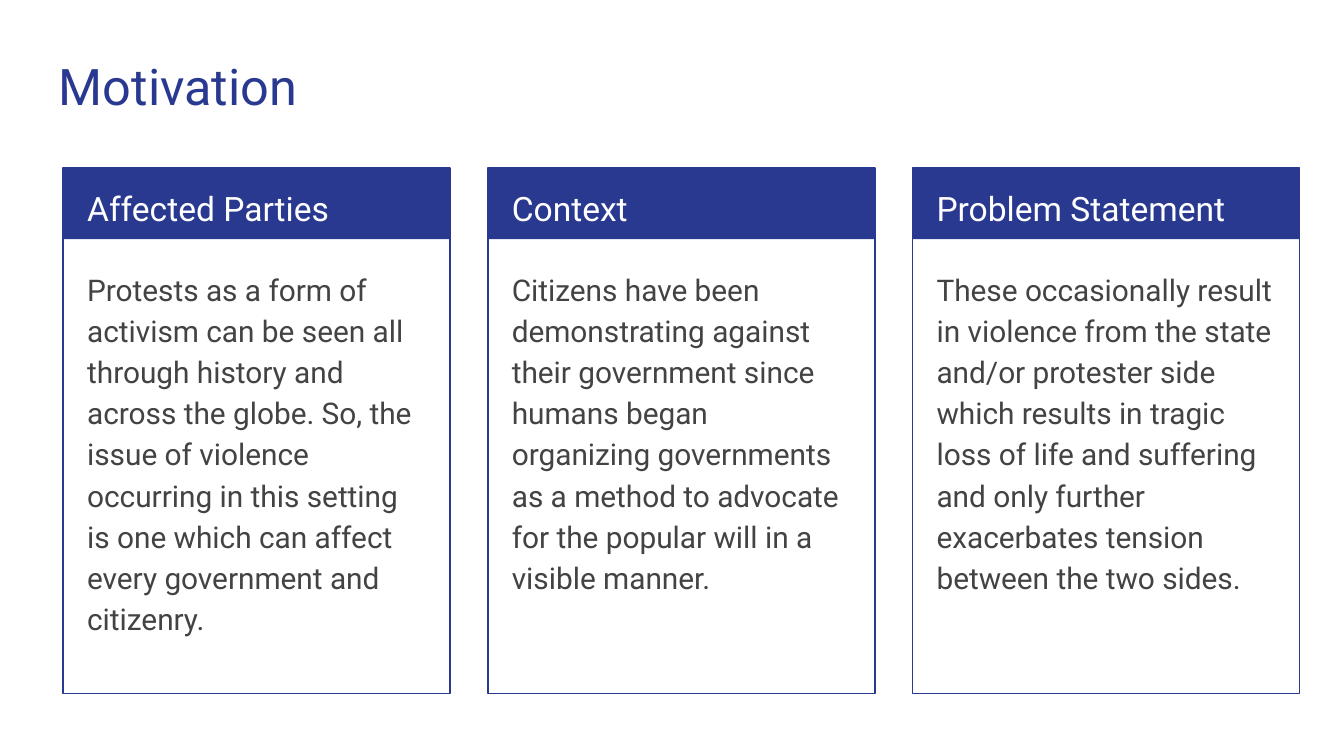
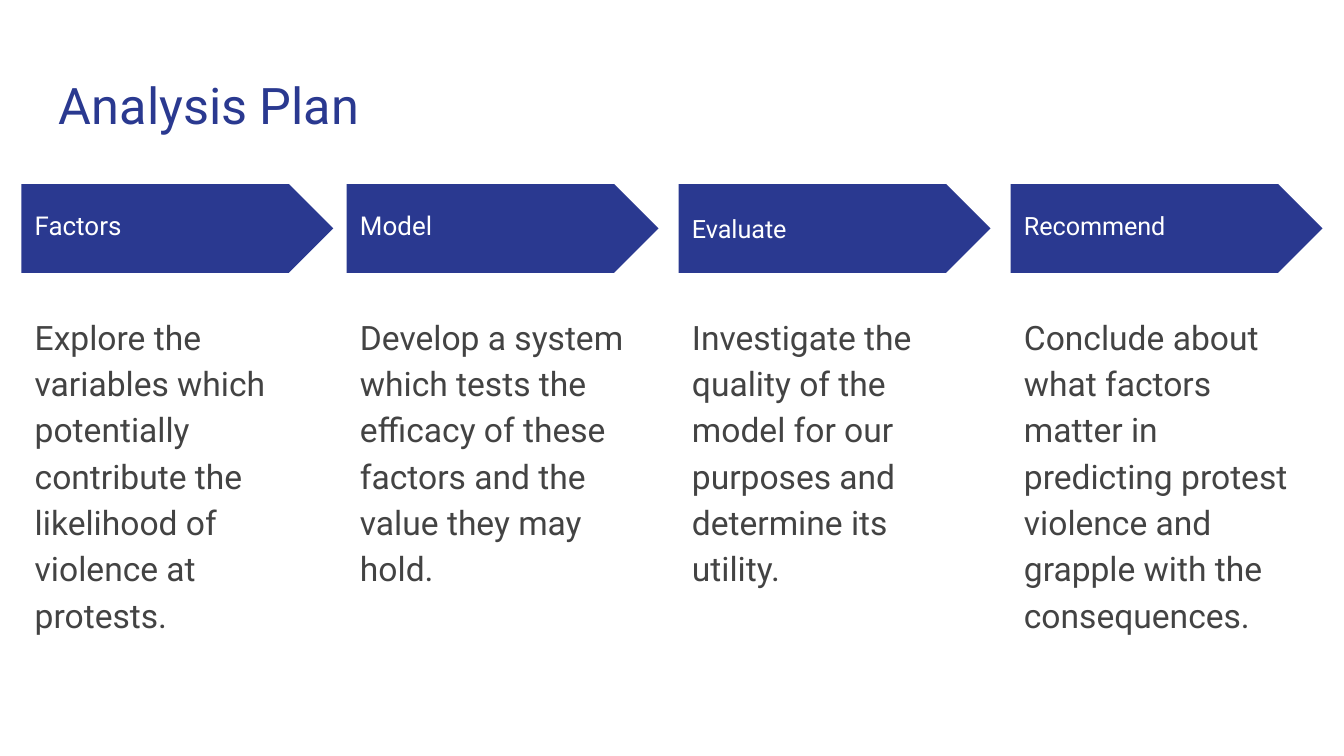
from pptx import Presentation
from pptx import util as u
from pptx.dml.color import RGBColor
from pptx.enum import shapes, text

BLUE = RGBColor(0x2A, 0x39, 0x90)
GREY = RGBColor(0x43, 0x43, 0x43)
WHITE = RGBColor(0xFF, 0xFF, 0xFF)
PX = 9144
FONT = "Roboto"
INSET = 10

CARDS = [
    ("Affected Parties",
     "Protests as a form of activism can be seen all through history and across the globe. "
     "So, the issue of violence occurring in this setting is one which can affect every "
     "government and citizenry."),
    ("Context",
     "Citizens have been demonstrating against their government since humans began organizing "
     "governments as a method to advocate for the popular will in a visible manner."),
    ("Problem Statement",
     "These occasionally result in violence from the state and/or protester side which results "
     "in tragic loss of life and suffering and only further exacerbates tension between the "
     "two sides."),
]

STEPS = [
    (16, "Factors", 13.9, 0.8,
     "Explore the variables which potentially contribute the likelihood of violence at protests."),
    (258, "Model", 13.9, 0.8,
     "Develop a system which tests the efficacy of these factors and the value they may hold."),
    (505, "Evaluate", 13.5, 1.0,
     "Investigate the quality of the model for our purposes and determine its utility."),
    (752, "Recommend", 13.5, 0.8,
     "Conclude about what factors matter in predicting protest violence and grapple with the "
     "consequences."),
]


class Deck:
    """Holds the shared style and the slide being built."""

    def __init__(self):
        self.prs = Presentation()
        self.prs.slide_width = u.Inches(10)
        self.prs.slide_height = u.Inches(5.625)
        self.s = None

    def slide(self, title, top):
        self.s = self.prs.slides.add_slide(self.prs.slide_layouts[6])
        self.text(34, top, 932, 66, title, 27, BLUE)

    def shape(self, kind, x, y, w, h, fill=None, line=None):
        sp = self.s.shapes.add_shape(kind, x * PX, y * PX, w * PX, h * PX)
        sp.shadow.inherit = False
        if fill is None:
            sp.fill.background()
        else:
            sp.fill.solid()
            sp.fill.fore_color.rgb = fill
        if line is None:
            sp.line.fill.background()
        else:
            sp.line.color.rgb = line
            sp.line.width = u.Pt(0.75)

    def text(self, x, y, w, h, words, size, color, spacing=1.0, after=0,
             anchor=text.MSO_ANCHOR.TOP):
        tf = self.s.shapes.add_textbox(x * PX, y * PX, w * PX, h * PX).text_frame
        tf.word_wrap = True
        tf.vertical_anchor = anchor
        tf.margin_left = tf.margin_right = tf.margin_top = tf.margin_bottom = INSET * PX
        tf.text = words
        p = tf.paragraphs[0]
        p.line_spacing = spacing
        p.space_after = u.Pt(after)
        r = p.runs[0]
        r.font.name = FONT
        r.font.size = u.Pt(size)
        r.font.color.rgb = color

    def card(self, x, heading, body):
        rect = shapes.MSO_SHAPE.RECTANGLE
        self.shape(rect, x, 125, 288, 53, fill=BLUE)
        self.shape(rect, x, 125, 288, 391, line=BLUE)
        self.text(x + 8, 125, 273, 53, heading, 18, WHITE, 1.15)
        self.text(x + 8, 188, 271, 320, body, 16, GREY, 1.15)

    def step(self, x, heading, size, spacing, body):
        self.shape(shapes.MSO_SHAPE.PENTAGON, x, 137, 232, 66, fill=BLUE)
        self.text(x, 153, 212, 34, heading, size, WHITE, spacing,
                  anchor=text.MSO_ANCHOR.MIDDLE)
        self.text(x, 221, 232, 290, body, 18, GREY, 1.15, after=8)


def main():
    deck = Deck()

    deck.slide("Motivation", 31)
    for i, (heading, body) in enumerate(CARDS):
        deck.card(47 + 316 * i, heading, body)

    deck.slide("Analysis Plan", 45)
    for step in STEPS:
        deck.step(*step)

    deck.prs.save("out.pptx")


if __name__ == "__main__":
    main()
